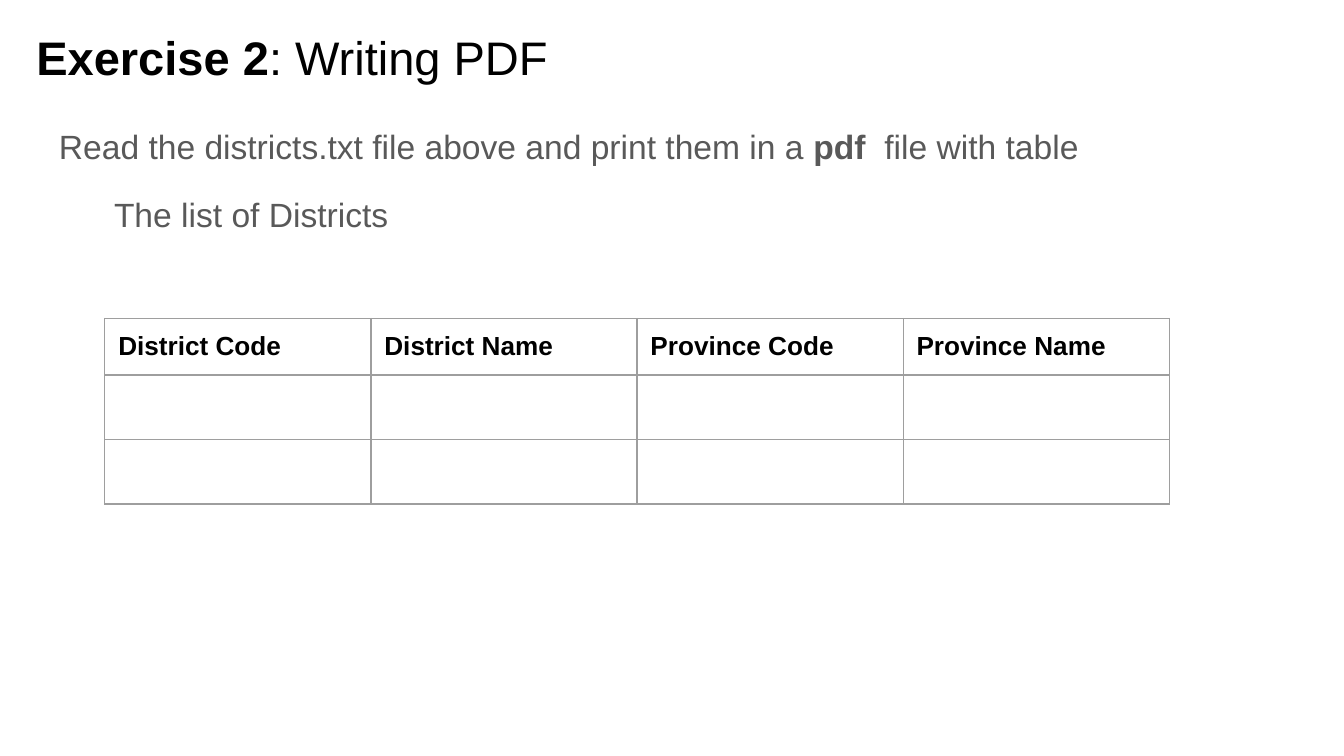
from dataclasses import dataclass

from lxml import etree
from pptx import Presentation
from pptx.dml.color import RGBColor
from pptx.enum.text import MSO_ANCHOR, MSO_AUTO_SIZE, PP_ALIGN
from pptx.oxml.ns import qn
from pptx.util import Inches, Pt

LEFT = PP_ALIGN.LEFT
TOP = MSO_ANCHOR.TOP
NO_AUTOFIT = MSO_AUTO_SIZE.NONE
TITLE_ONLY = 5


@dataclass(frozen=True)
class Theme:
    font: str = "Arial"
    ink: str = "000000"
    body: str = "595959"
    grid: str = "9E9E9E"
    title_size: float = 25.2
    body_size: float = 18
    header_size: float = 14
    grid_width: float = 0.75
    inset: float = 0.1


THEME = Theme()
HEADERS = ["District Code", "District Name", "Province Code", "Province Name"]


def set_insets(holder):
    holder.margin_left = holder.margin_right = Inches(THEME.inset)
    holder.margin_top = holder.margin_bottom = Inches(THEME.inset)


def prepare_frame(frame):
    frame.word_wrap = True
    frame.auto_size = NO_AUTOFIT
    frame.vertical_anchor = TOP
    set_insets(frame)


def write_paragraph(paragraph, runs, size, color):
    """Fill a paragraph with (text, bold) runs in one size and colour."""
    paragraph.alignment = LEFT
    paragraph.font.name = THEME.font
    paragraph.font.size = Pt(size)
    paragraph.font.color.rgb = RGBColor.from_string(color)
    for text, bold in runs:
        run = paragraph.add_run()
        run.text = text
        run.font.bold = bold


def add_title(slide):
    title = slide.shapes.title
    title.left, title.top = Inches(0.17), Inches(0.11)
    title.width, title.height = Inches(9.32), Inches(0.63)
    prepare_frame(title.text_frame)
    write_paragraph(title.text_frame.paragraphs[0],
                    [("Exercise 2", True), (": Writing PDF", False)],
                    THEME.title_size, THEME.ink)


def add_instructions(slide):
    box = slide.shapes.add_textbox(Inches(0.34), Inches(0.79), Inches(9.32), Inches(4.21))
    frame = box.text_frame
    prepare_frame(frame)
    task = frame.paragraphs[0]
    write_paragraph(task,
                    [("Read the districts.txt file above and print them in a ", False),
                     ("pdf", True), ("  file with table", False)],
                    THEME.body_size, THEME.body)
    caption = frame.add_paragraph()
    write_paragraph(caption, [("The list of Districts", False)],
                    THEME.body_size, THEME.body)
    caption.space_before = caption.space_after = Pt(12)
    caption_properties = caption._p.get_or_add_pPr()
    caption_properties.set("marL", str(Inches(0.41)))
    caption_properties.set("indent", "0")
    for paragraph in frame.paragraphs:
        paragraph.line_spacing = 1.15


def outline_cell(cell):
    properties = cell._tc.get_or_add_tcPr()
    for side in ("a:lnL", "a:lnR", "a:lnT", "a:lnB"):
        line = etree.SubElement(properties, qn(side), w=str(Pt(THEME.grid_width)))
        fill = etree.SubElement(line, qn("a:solidFill"))
        etree.SubElement(fill, qn("a:srgbClr"), val=THEME.grid)


def set_empty_cell_font(cell):
    """Give a cell without runs the font that sets its line height."""
    end = etree.SubElement(cell.text_frame.paragraphs[0]._p, qn("a:endParaRPr"),
                           sz=str(THEME.body_size * 100))
    etree.SubElement(end, qn("a:latin"), typeface=THEME.font)


def add_district_table(slide, row_count=3, column_width=1.98, row_height=0.42):
    table = slide.shapes.add_table(
        row_count, len(HEADERS), Inches(0.78), Inches(2.37),
        Inches(column_width * len(HEADERS)), Inches(row_height * row_count)).table
    table.first_row = table.horz_banding = False
    for column in table.columns:
        column.width = Inches(column_width)
    for row in table.rows:
        row.height = Inches(row_height)
    for cell in table.iter_cells():
        set_insets(cell)
        outline_cell(cell)
        cell.fill.background()
    for column, header in enumerate(HEADERS):
        write_paragraph(table.cell(0, column).text_frame.paragraphs[0],
                        [(header, True)], THEME.header_size, THEME.ink)
        for row in range(1, row_count):
            set_empty_cell_font(table.cell(row, column))


def main():
    presentation = Presentation()
    presentation.slide_width = Inches(10)
    presentation.slide_height = Inches(10 * 9 / 16)
    slide = presentation.slides.add_slide(presentation.slide_layouts[TITLE_ONLY])
    add_title(slide)
    add_instructions(slide)
    add_district_table(slide)
    presentation.save("out.pptx")


if __name__ == "__main__":
    main()
